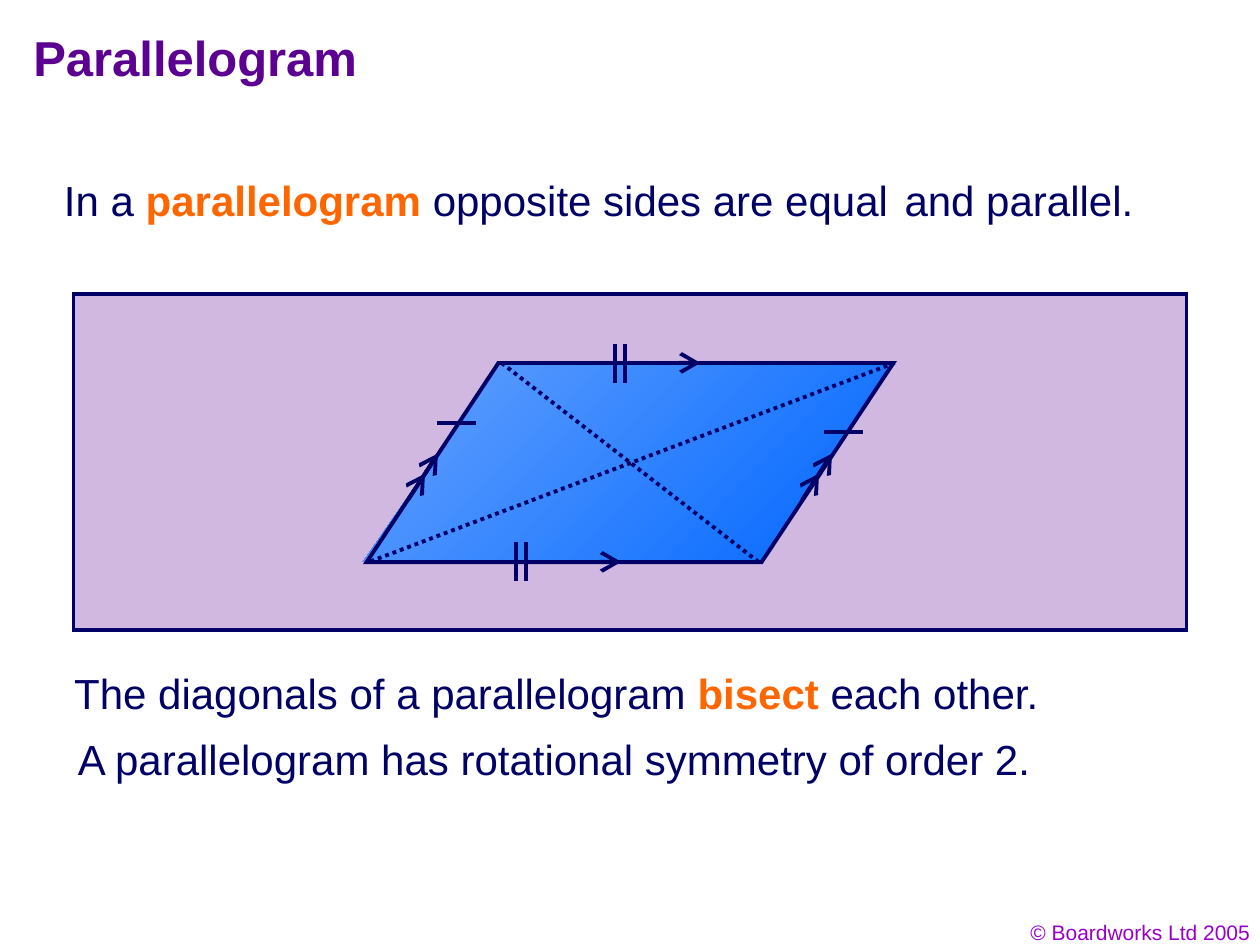
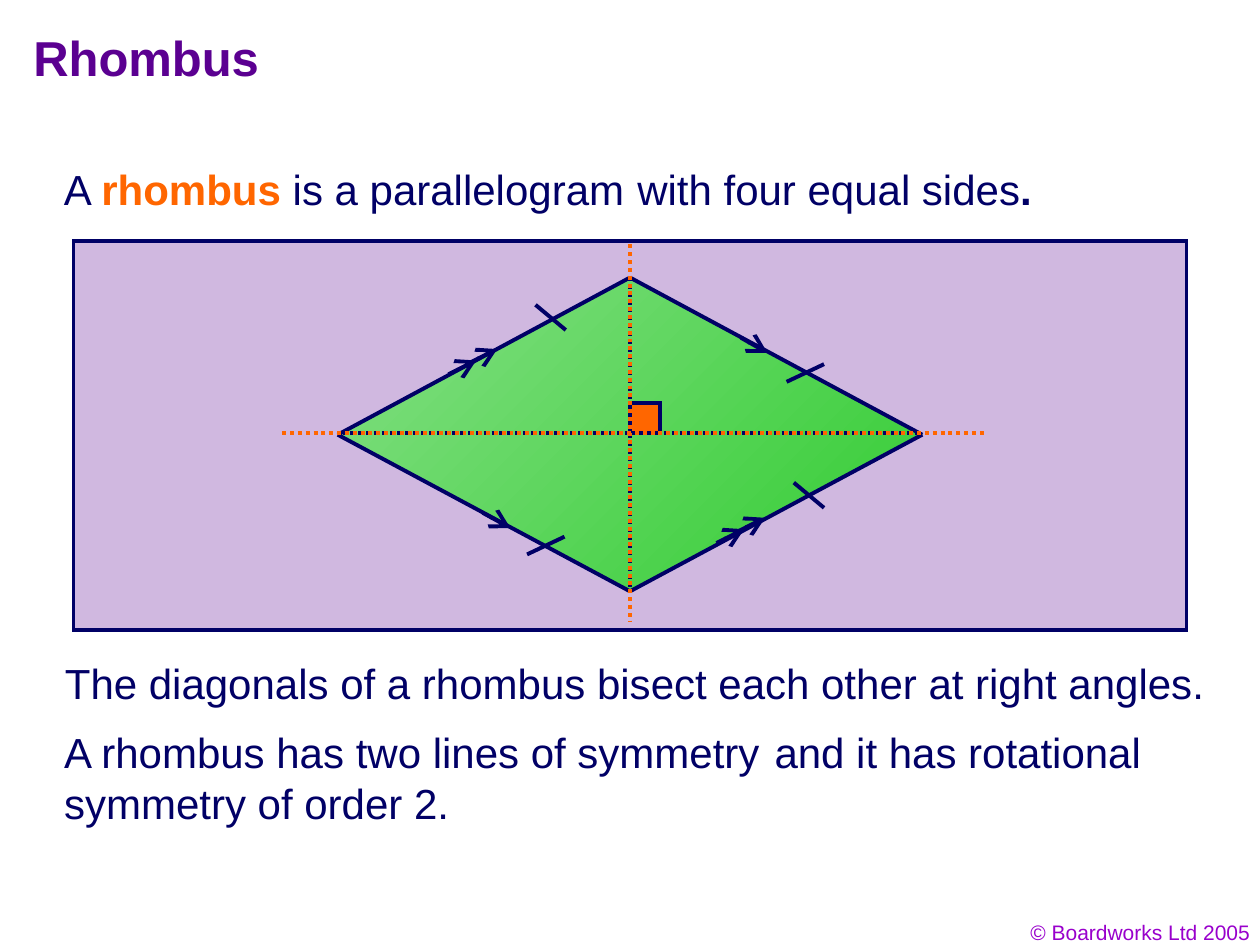
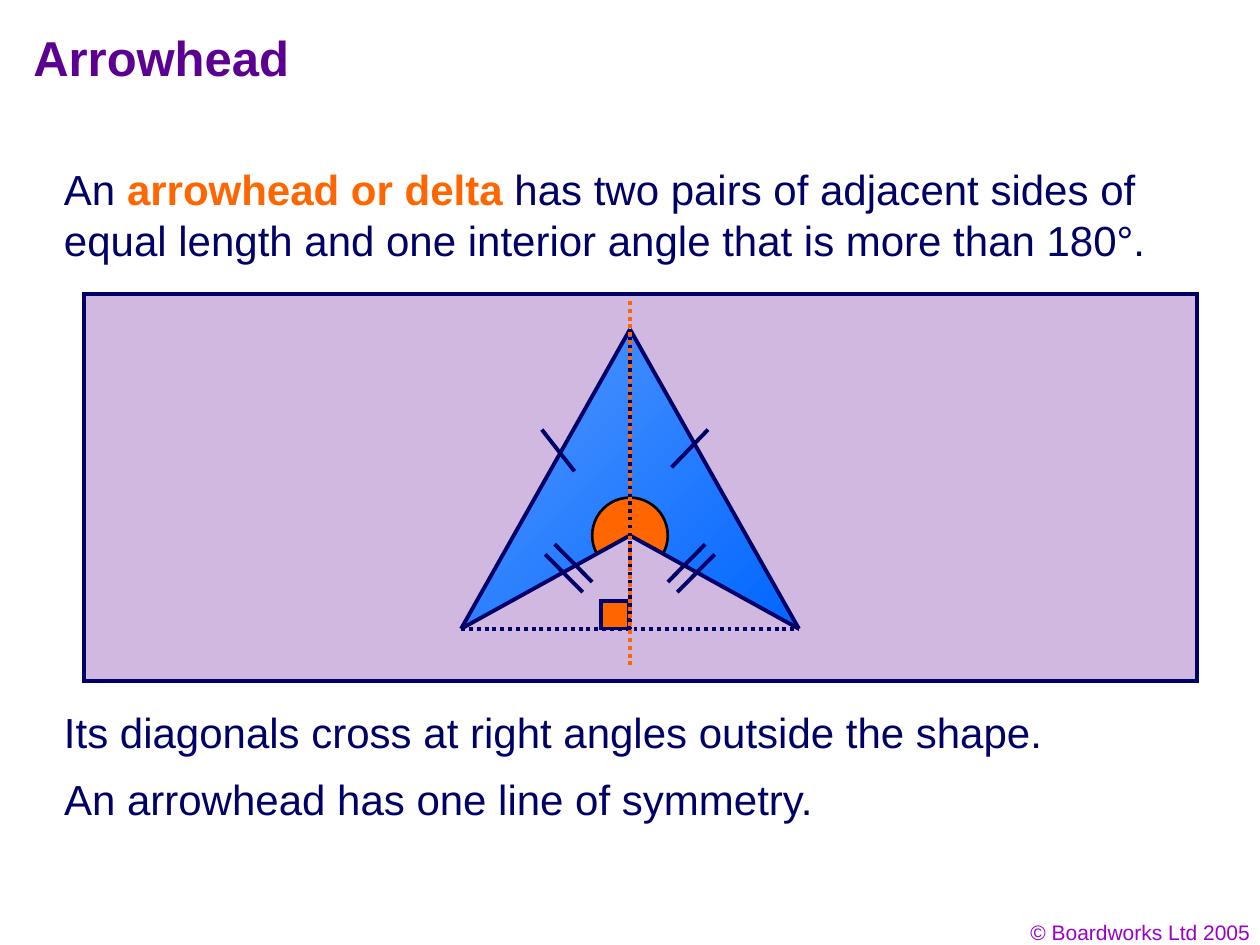
from pptx import Presentation
from pptx import util as u
from pptx.dml import color
from pptx.enum import dml, shapes, text
from lxml import etree

Pt = u.Pt
NS = "{http://schemas.openxmlformats.org/drawingml/2006/main}"
SHAPE = shapes.MSO_SHAPE

theme = {
    "navy": "000066", "panel": "D0B8E0", "orange": "FF6600", "black": "000000",
    "line": 2.25,
    "title": {"size": 28, "color": "5B0091", "bold": True},
    "footer": {"size": 12, "color": "9900CC", "bold": False},
    "body": {"size": 24, "color": "010066", "bold": False},
    "strong": {"size": 24, "color": "000066", "bold": True},
    "key": {"size": 24, "color": "FF6600", "bold": True},
}
line_styles = {
    "side": {"color": "navy", "dash": None, "arrow": False},
    "arrow": {"color": "navy", "dash": None, "arrow": True},
    "diagonal": {"color": "navy", "dash": dml.MSO_LINE.ROUND_DOT, "arrow": False},
    "axis": {"color": "orange", "dash": dml.MSO_LINE.ROUND_DOT, "arrow": False},
}


def rgb(name):
    return color.RGBColor.from_string(theme.get(name, name))


def add_text(s, box, runs, indent=0, align=text.PP_ALIGN.LEFT):
    tf = s.shapes.add_textbox(*map(Pt, box)).text_frame
    for name, value in {"word_wrap": True, "auto_size": text.MSO_AUTO_SIZE.NONE,
                        "vertical_anchor": text.MSO_ANCHOR.TOP}.items():
        setattr(tf, name, value)
    p = tf.paragraphs[0]
    p.alignment = align
    if indent:
        p._p.get_or_add_pPr().set("indent", str(Pt(indent)))
    for words, style in runs:
        r = p.add_run()
        r.text = words
        fmt = theme[style]
        for name, value in {"name": "Arial", "size": Pt(fmt["size"]), "bold": fmt["bold"]}.items():
            setattr(r.font, name, value)
        r.font.color.rgb = rgb(fmt["color"])


rhombus = [(193, 248.4), (360, 158.6), (527, 248.4), (360, 337.9)]
delta = [(263.5, 359.3), (360, 188.2), (456.5, 359.3), (360, 306)]

pages = [
    {
        "title": "Parallelogram",
        "panel": (42, 168, 636, 192),
        "face": [(207.4, 321.1), (434.2, 320.4), (511.2, 207.4), (285.8, 207.4)],
        "gradient": ("0066FF", "65A2FE"),
        "shapes": [(SHAPE.PARALLELOGRAM, (209.5, 207.4, 301, 113.8), None, "navy", 2.25, [0.662])],
        "lines": {
            "side": [(x + dx, y, x + dx, y + 22.3)
                     for x, y in [(351.4, 196.6), (295, 309.6)] for dx in (0, 5.6)]
            + [(249.8, 241.9, 272.2, 241.9), (470.9, 247, 493.2, 247)],
            "arrow": [(337, 321.1, 355, 321.1), (382.3, 207.4, 400.3, 207.4)]
            + [(x + dx, y, x + dx + 9.7, y - 15.1)
               for dx in (0, 225.2) for x, y in [(240.5, 274.3), (233.1, 285.8)]],
            "diagonal": [(286.6, 207.4, 433.4, 321.1), (511.2, 207.4, 211, 321.1)],
        },
        "texts": [
            ((29.5, 96, 648, 36), [("In a ", "body"), ("parallelogram", "key"),
                                   (" opposite sides are equal", "body")], 0),
            ((509.8, 96, 150, 36), [("and parallel.", "body")], 0),
            ((35.3, 378, 572, 36), [("The diagonals of a parallelogram ", "body"), ("bisect", "key"),
                                    (" each other.", "body")], 0),
            ((37.4, 415.4, 565, 36),
             [("A parallelogram has rotational symmetry of order 2.", "body")], 0),
        ],
    },
    {
        "title": "Rhombus",
        "panel": (42, 138, 636, 222),
        "face": rhombus,
        "gradient": ("33CC33", "84DF84"),
        "shapes": [(SHAPE.RECTANGLE, (360, 230.4, 17.3, 17.3), "orange", "navy", 2.25, [])],
        "lines": {
            "side": [a + b for a, b in zip(rhombus, rhombus[1:] + rhombus[:1])]
            + [(x, y, x + 17.3, y + 14.4) for x, y in [(306, 174.2), (453.6, 275.8)]]
            + [(x, y, x - 21.4, y + 10.1) for x, y in [(470.9, 208.1), (322.6, 306.7)]],
            "arrow": [(423.4, 193, 438.5, 201.6), (275.8, 293, 291.6, 301.7)]
            + [(x + dx, y + dy, x + dx + 15.8, y + dy - 7.9)
               for x, y in [(268.3, 207.4), (421.4, 303.8)] for dx, dy in [(0, 0), (-12, 6.5)]],
            "diagonal": [(195.8, 247.3, 524.2, 247.3), (360, 158.4, 360, 338.4)],
            "axis": [(360, 139.7, 360, 355), (161.3, 247.3, 563, 247.3)],
        },
        "texts": [
            ((29.5, 90, 648, 36), [("A ", "body"), ("rhombus ", "key"),
                                   ("is a parallelogram", "body")], 0),
            ((357.1, 90, 252, 36), [("with four equal sides", "body"), (".", "strong")], 0),
            ((30, 372.2, 671, 36),
             [("The diagonals of a rhombus bisect each other at right angles.", "body")], 0),
            ((29.5, 411.8, 419, 36), [("A rhombus has two lines of symmetry", "body")], 0),
            ((29.5, 411.8, 641.5, 64.8),
             [("and it has rotational symmetry of order 2.", "body")], 406),
        ],
    },
    {
        "title": "Arrowhead",
        "panel": (48, 168, 636, 221),
        "face": delta,
        "gradient": ("0066FF", "5699FE"),
        "shapes": [
            (SHAPE.PIE, (338.4, 284.4, 43.2, 43.2), "orange", "black", 1.5, [91.2, 16.8]),
            (SHAPE.RECTANGLE, (343.6, 343.4, 15.8, 15.8), "orange", "navy", 2.25, []),
        ],
        "lines": {
            "side": [a + b for a, b in zip(delta, delta[1:] + delta[:1])]
            + [(404.6, 245.5, 383.8, 267.1), (309.6, 245.5, 328.3, 269.3)]
            + [(360 + side * x, y, 360 + side * (x + 21.4), y - 21.6)
               for side in (-1, 1) for x, y in [(21.6, 332.6), (27, 338.4)]],
            "diagonal": [(360, 188, 360, 359.3), (263.5, 359.3, 456.5, 359.3)],
            "axis": [(360, 172, 360, 381)],
        },
        "texts": [
            ((29.5, 90, 648, 64.8), [
                ("An ", "body"), ("arrowhead or delta ", "key"),
                ("has two pairs of adjacent sides of equal length and one interior angle "
                 "that is more than 180°.", "body")], 0),
            ((29.5, 400.3, 590, 36),
             [("Its diagonals cross at right angles outside the shape.", "body")], 0),
            ((29.5, 438.5, 450, 36), [("An arrowhead has one line of symmetry.", "body")], 0),
        ],
    },
]

prs = Presentation()
prs.slide_width, prs.slide_height = Pt(720), Pt(540)

for page in pages:
    s = prs.slides.add_slide(prs.slide_layouts[6])
    add_text(s, (553.7, 522, 167.8, 21.6), [("© Boardworks Ltd 2005", "footer")],
             align=text.PP_ALIGN.RIGHT)
    add_text(s, (12, 12, 612, 48), [(page["title"], "title")])

    panel = (SHAPE.RECTANGLE, page["panel"], "panel", "navy", theme["line"], [])
    for i, (kind, box, fill, outline, width, adjustments) in enumerate([panel] + page["shapes"]):
        sp = s.shapes.add_shape(kind, *map(Pt, box))
        sp.shadow.inherit = False
        for n, value in enumerate(adjustments):
            sp.adjustments[n] = value
        if fill:
            sp.fill.solid()
            sp.fill.fore_color.rgb = rgb(fill)
        else:
            sp.fill.background()
        sp.line.color.rgb = rgb(outline)
        sp.line.width = Pt(width)
        etree.SubElement(sp.line._get_or_add_ln(), NS + "miter", lim="800000")
        if i == 0:
            points = [(Pt(x), Pt(y)) for x, y in page["face"]]
            builder = s.shapes.build_freeform(*points[0])
            builder.add_line_segments(points[1:], close=True)
            face = builder.convert_to_shape()
            face.shadow.inherit = False
            face.line.fill.background()
            face.fill.gradient()
            face.fill.gradient_angle = 135
            for stop, tone in zip(face.fill.gradient_stops, page["gradient"]):
                stop.color.rgb = rgb(tone)

    for style, segments in page["lines"].items():
        look = line_styles[style]
        for segment in segments:
            ln = s.shapes.add_connector(shapes.MSO_CONNECTOR.STRAIGHT, *map(Pt, segment))
            ln.line.color.rgb = rgb(look["color"])
            for name, value in {"width": Pt(theme["line"]), "dash_style": look["dash"]}.items():
                setattr(ln.line, name, value)
            if look["arrow"]:
                etree.SubElement(ln.line._get_or_add_ln(), NS + "tailEnd",
                                 type="arrow", w="lg", len="lg")
            etree.SubElement(ln._element.spPr, NS + "effectLst")

    for box, runs, indent in page["texts"]:
        add_text(s, box, runs, indent)

prs.save("out.pptx")
